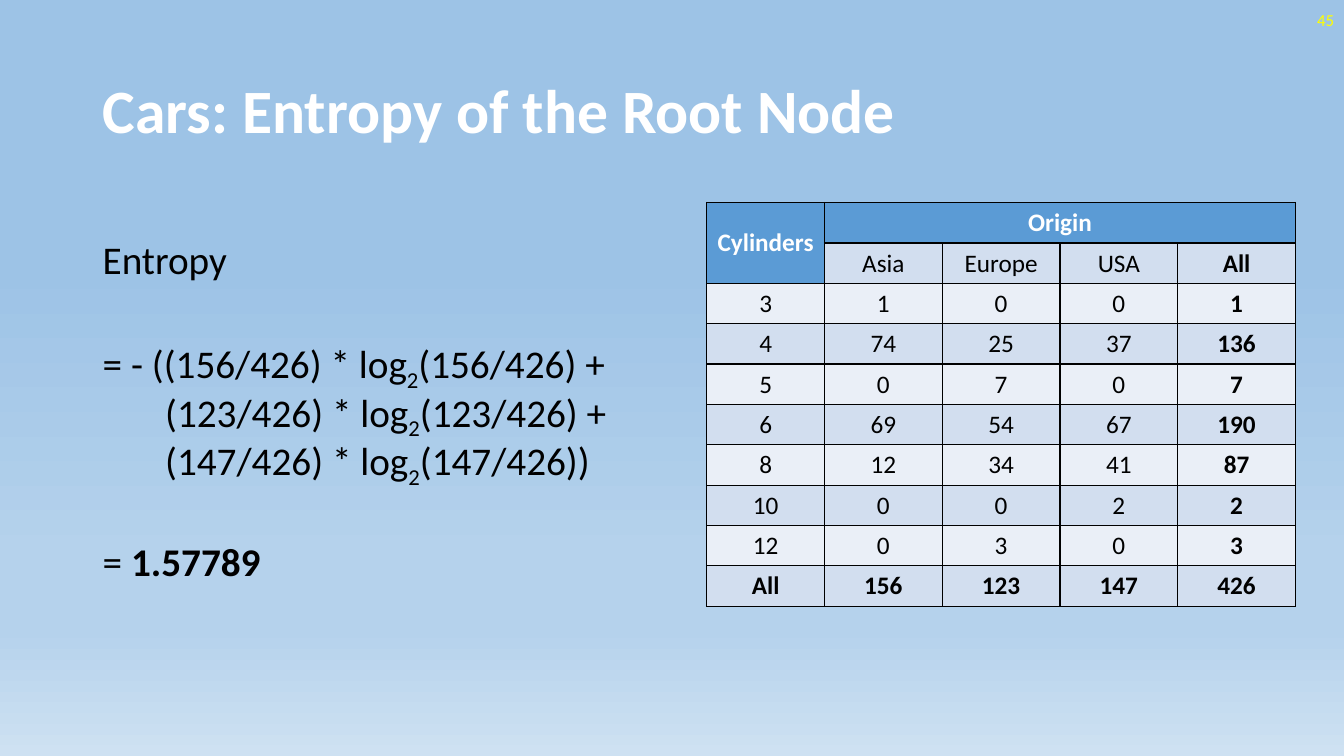
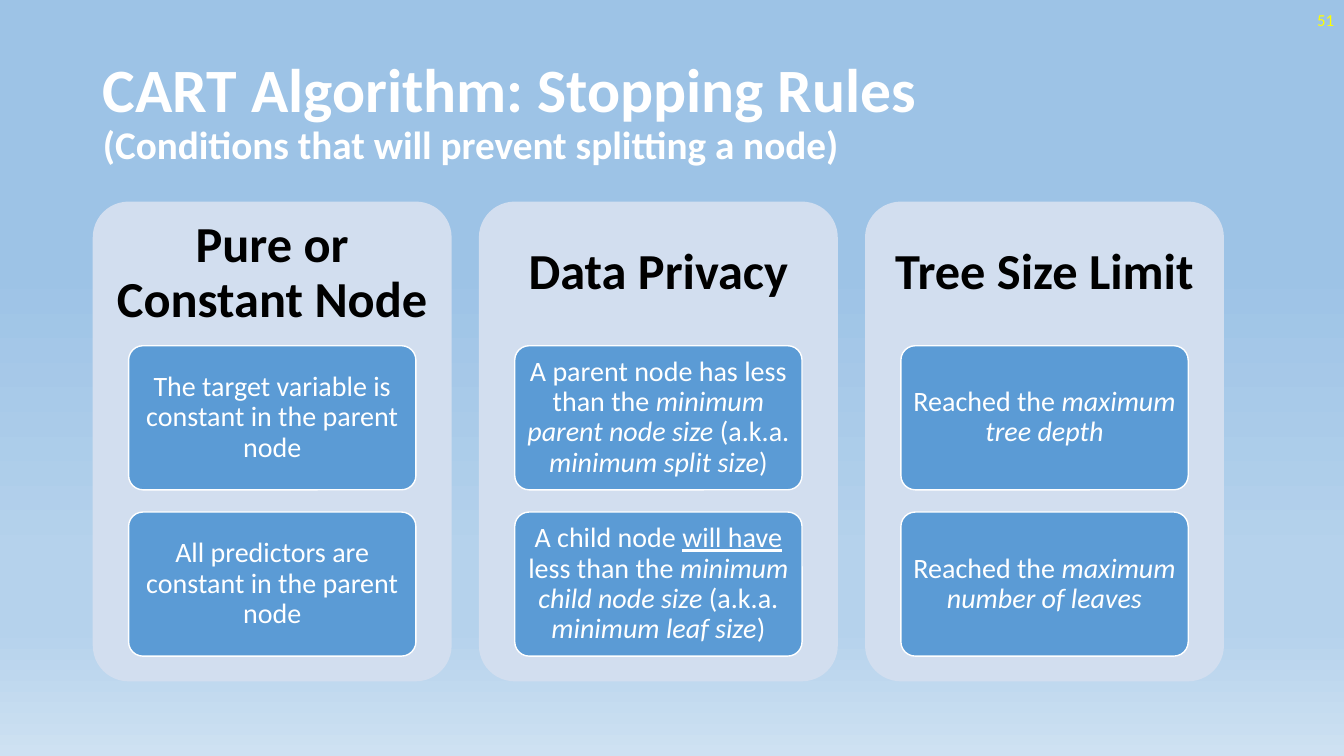
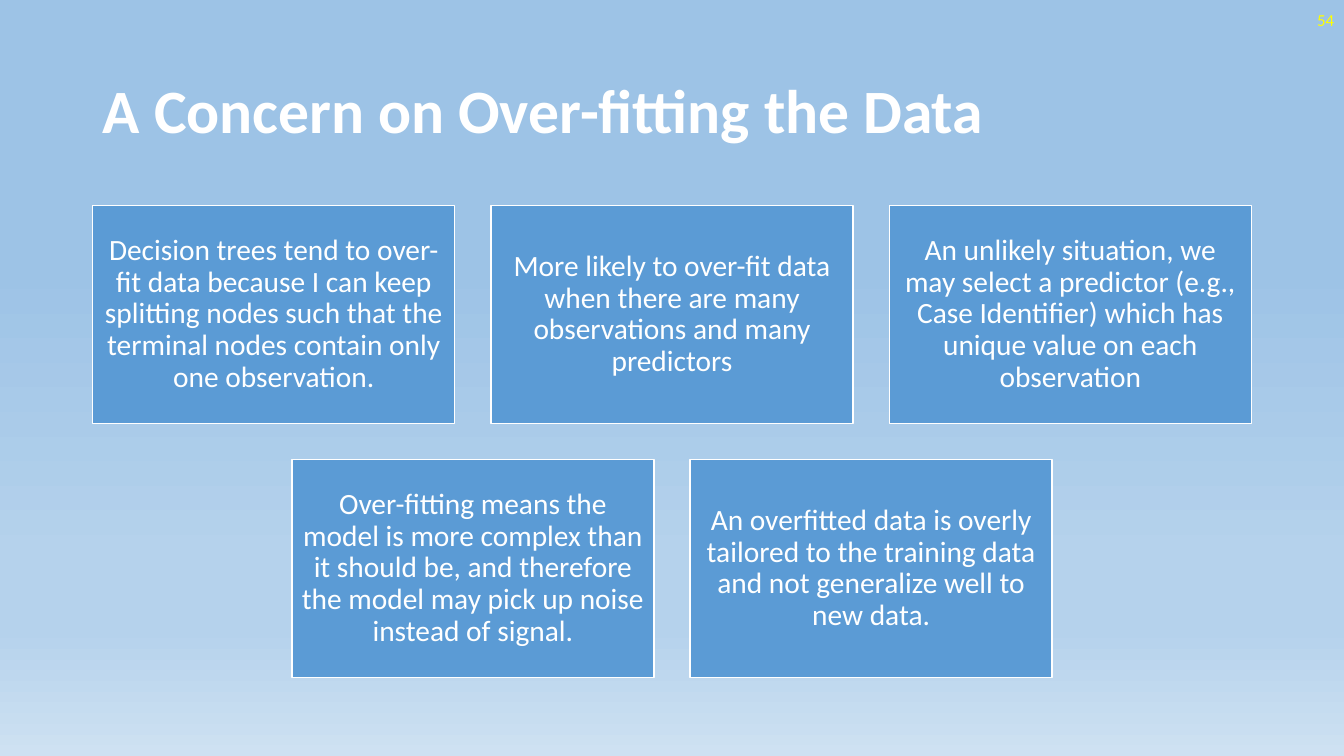
"""Build three decision-tree slides: root entropy, stopping rules and over-fitting."""
from lxml import etree
from pptx import Presentation
from pptx.dml.color import RGBColor
from pptx.enum.shapes import MSO_SHAPE
from pptx.enum.text import MSO_ANCHOR, PP_ALIGN
from pptx.oxml import parse_xml
from pptx.oxml.ns import nsdecls, qn
from pptx.util import Inches, Pt

WHITE = RGBColor(0xFF, 0xFF, 0xFF)
BLACK = RGBColor(0x00, 0x00, 0x00)
YELLOW = RGBColor(0xFF, 0xFF, 0x00)
BLUE = RGBColor(0x5B, 0x9B, 0xD5)
PALE = RGBColor(0xD2, 0xDE, 0xEF)
PALER = RGBColor(0xEA, 0xEF, 0xF7)
SKY_STOPS = [(35, "9DC3E6"), (74, "B5D2EC"), (83, "B5D2EC"), (100, "CEE1F2")]


def write(p, parts, size, color, bold=False, align=PP_ALIGN.CENTER, spacing=0.9):
    """Fill a paragraph with (text, style) parts in one font."""
    p.alignment, p.line_spacing = align, spacing
    p.font.name, p.font.size, p.font.bold = "Calibri", Pt(size), bold
    p.font.color.rgb = color
    for words, style in parts:
        if style == "break":
            p.add_line_break()
            continue
        r = p.add_run()
        r.text = words
        if style == "italic":
            r.font.italic = True
        elif style == "underline":
            r.font.underline = True
        elif style == "bold":
            r.font.bold = True
        elif style == "small":
            r.font.size = Pt(28)
        elif style == "sub":
            r._r.get_or_add_rPr().set("baseline", "-25000")


def add_box(s, kind, x, y, w, h, fill, line, insets):
    """Add a filled shape and return its text frame."""
    sp = s.shapes.add_shape(kind, Inches(x), Inches(y), Inches(w), Inches(h))
    sp.shadow.inherit = False
    sp.fill.solid()
    sp.fill.fore_color.rgb = fill
    if line:
        sp.line.color.rgb = line
        sp.line.width = Pt(1)
    else:
        sp.line.fill.background()
    if kind == MSO_SHAPE.ROUNDED_RECTANGLE:
        sp.adjustments[0] = 0.1
    tf = sp.text_frame
    tf.word_wrap, tf.vertical_anchor = True, MSO_ANCHOR.MIDDLE
    tf.margin_left, tf.margin_top, tf.margin_right, tf.margin_bottom = map(Inches, insets)
    return tf


prs = Presentation()
prs.slide_width, prs.slide_height = Inches(13.33), Inches(7.5)

sky = prs.slide_master.background.fill
sky.gradient()
sky.gradient_angle = 270
stops = prs.slide_master._element.find(".//" + qn("a:gsLst"))
for stop in list(stops):
    stops.remove(stop)
for position, color in SKY_STOPS:
    stop = etree.SubElement(stops, qn("a:gs"), pos=str(position * 1000))
    etree.SubElement(stop, qn("a:srgbClr"), val=color)

titles = [
    (45, [("Cars: Entropy of the Root Node", "")]),
    (51, [("CART Algorithm: Stopping Rules", ""), ("", "break"),
          ("(Conditions that will prevent splitting a node)", "small")]),
    (54, [("A Concern on Over-fitting the Data", "")]),
]
slides = []
for number, parts in titles:
    s = prs.slides.add_slide(prs.slide_layouts[5])
    title = s.shapes.title
    title.left, title.top = Inches(0.92), Inches(0.4)
    title.width, title.height = Inches(11.5), Inches(1.45)
    title.text_frame.vertical_anchor = MSO_ANCHOR.MIDDLE
    write(title.text_frame.paragraphs[0], parts, 44, WHITE, True, PP_ALIGN.LEFT)
    tf = s.shapes.add_textbox(Inches(10.33), 0, Inches(3), Inches(0.4)).text_frame
    tf.word_wrap, tf.vertical_anchor = True, MSO_ANCHOR.MIDDLE
    write(tf.paragraphs[0], [(str(number), "")], 12, YELLOW, align=PP_ALIGN.RIGHT, spacing=1)
    slides.append(s)
entropy, rules, concern = slides

formula = [("= - (", "")]
for count, ending in [(156, " +"), (123, " +"), (147, ")")]:
    formula += [(f"({count}/426) * log", ""), ("2", "sub"), (f"({count}/426){ending}", "")]
    if ending == " +":
        formula.append(("", "break"))
tf = entropy.shapes.add_textbox(Inches(0.92), Inches(2), Inches(6.09), Inches(4.76)).text_frame
tf.word_wrap, tf.vertical_anchor = True, MSO_ANCHOR.MIDDLE
tf.margin_bottom = Inches(0.62)
for i, parts in enumerate([[("Entropy", "")], formula, [("= ", ""), ("1.57789", "bold")]]):
    p = tf.add_paragraph() if i else tf.paragraphs[0]
    if i:
        p.space_before = Pt(41)
    write(p, parts, 28, BLACK, align=PP_ALIGN.LEFT)
hanging = tf.paragraphs[1]._p.get_or_add_pPr()
hanging.set("marL", str(Inches(0.62)))
hanging.set("indent", str(-Inches(0.62)))

rows = [
    ["Cylinders", "Origin", "", "", ""],
    ["", "Asia", "Europe", "USA", "All"],
    ["3", "1", "0", "0", "1"],
    ["4", "74", "25", "37", "136"],
    ["5", "0", "7", "0", "7"],
    ["6", "69", "54", "67", "190"],
    ["8", "12", "34", "41", "87"],
    ["10", "0", "0", "2", "2"],
    ["12", "0", "3", "0", "3"],
    ["All", "156", "123", "147", "426"],
]
table = entropy.shapes.add_table(len(rows), 5, Inches(7.01), Inches(2.01),
                                 Inches(5.84), Inches(4)).table
table.first_row = table.horz_banding = False
for i, row in enumerate(rows):
    for j, value in enumerate(row):
        cell = table.cell(i, j)
        header = i == 0 or (i == 1 and j == 0)
        cell.vertical_anchor = MSO_ANCHOR.MIDDLE
        cell.fill.solid()
        cell.fill.fore_color.rgb = BLUE if header else PALE if i % 2 else PALER
        if value:
            write(cell.text_frame.paragraphs[0], [(value, "")], 18, WHITE if header else BLACK,
                  header or j == 4 or i == 9, spacing=1)
        for k, side in enumerate(("lnL", "lnR", "lnT", "lnB")):
            border = parse_xml(f'<a:{side} {nsdecls("a")} w="12700"><a:solidFill>'
                               f'<a:srgbClr val="{BLACK}"/></a:solidFill></a:{side}>')
            cell._tc.get_or_add_tcPr().insert(k, border)
table.cell(0, 0).merge(table.cell(1, 0))
table.cell(0, 1).merge(table.cell(0, 4))

groups = [
    ("Pure or Constant Node", [
        [("The target variable is constant in the parent node", "")],
        [("All predictors are constant in the parent node", "")]]),
    ("Data Privacy", [
        [("A parent node has less than the", ""), (" minimum parent node size", "italic"),
         (" (a.k.a. ", ""), ("minimum split size", "italic"), (")", "")],
        [("A child node ", ""), ("will have", "underline"), (" less than the ", ""),
         ("minimum child node size ", "italic"), ("(a.k.a. ", ""),
         ("minimum leaf size", "italic"), (")", "")]]),
    ("Tree Size Limit", [
        [("Reached the ", ""), ("maximum tree depth", "italic")],
        [("Reached the ", ""), ("maximum number of leaves", "italic")]]),
]
panel_w, card_w = 3.56, 2.85
for i, (heading, cards) in enumerate(groups):
    x = 0.92 + 3.83 * i
    tf = add_box(rules, MSO_SHAPE.ROUNDED_RECTANGLE, x, 2, panel_w, 4.76, PALE, None,
                 (0.05, 0.05, 0.05, 3.38))
    write(tf.paragraphs[0], [(heading, "")], 36, BLACK, True)
    for j, parts in enumerate(cards):
        tf = add_box(rules, MSO_SHAPE.ROUNDED_RECTANGLE, x + (panel_w - card_w) / 2,
                     3.43 + 1.65 * j, card_w, 1.43, BLUE, WHITE, (0.06, 0.04, 0.06, 0.04))
        write(tf.paragraphs[0], parts, 20, WHITE)

concerns = [
    ["Decision trees tend to over-fit data because I can keep splitting nodes such that "
     "the terminal nodes contain only one observation.",
     "More likely to over-fit data when there are many observations and many predictors",
     "An unlikely situation, we may select a predictor (e.g., Case Identifier) which has "
     "unique value on each observation"],
    ["Over-fitting means the model is more complex than it should be, and therefore the "
     "model may pick up noise instead of signal.",
     "An overfitted data is overly tailored to the training data and not generalize well "
     "to new data."],
]
tile_w, tile_h, gap = 3.59, 2.16, 0.36
for i, row in enumerate(concerns):
    left = (13.33 - len(row) * tile_w - (len(row) - 1) * gap) / 2
    for j, words in enumerate(row):
        tf = add_box(concern, MSO_SHAPE.RECTANGLE, left + j * (tile_w + gap),
                     2.04 + i * (tile_h + gap), tile_w, tile_h, BLUE, WHITE, [0.09] * 4)
        write(tf.paragraphs[0], [(words, "")], 21, WHITE)

prs.save("out.pptx")
